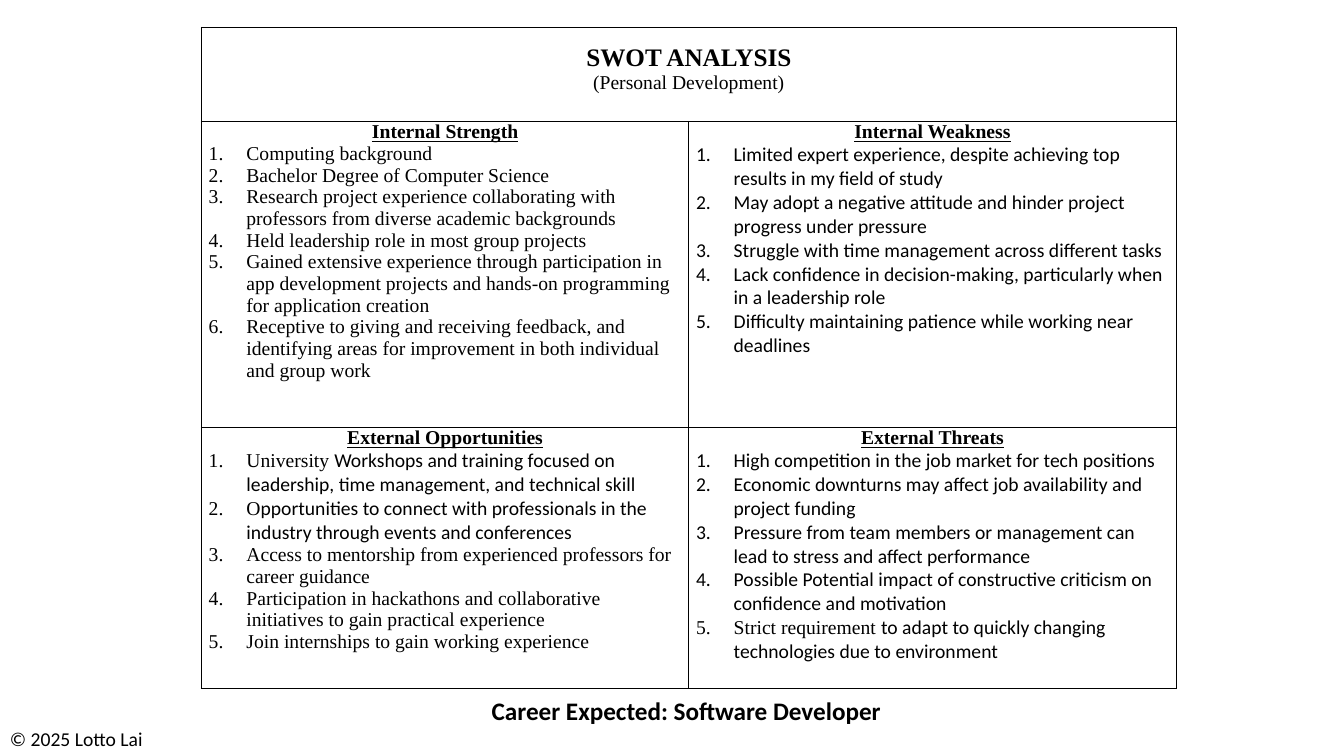
from pptx import Presentation
from pptx.dml.color import RGBColor
from pptx.enum.text import MSO_ANCHOR, MSO_AUTO_SIZE, PP_ALIGN
from pptx.oxml import parse_xml
from pptx.oxml.ns import nsdecls
from pptx.util import Cm, Pt

COLORS = {"ink": "000000", "paper": "FFFFFF"}
SERIF, SANS = "Times New Roman", "Calibri"

# Each item reads "serif part|sans part"
STRENGTH = ("Internal Strength", [
    "Computing background",
    "Bachelor Degree of Computer Science",
    "Research project experience collaborating with professors from diverse academic backgrounds",
    "Held leadership role in most group projects",
    "Gained extensive experience through participation in app development projects "
    "and hands-on programming for application creation",
    "Receptive to giving and receiving feedback, and identifying areas for improvement "
    "in both individual and group work",
])
WEAKNESS = ("Internal Weakness", [
    "|Limited expert experience, despite achieving top results in my field of study",
    "|May adopt a negative attitude and hinder project progress under pressure",
    "|Struggle with time management across different tasks",
    "|Lack confidence in decision-making, particularly when in a leadership role",
    "|Difficulty maintaining patience while working near deadlines",
])
CHANCES = ("External Opportunities", [
    "University |Workshops and training focused on leadership, time management, and technical skill",
    "O|pportunities to connect with professionals in the industry through events and conferences",
    "Access to mentorship from experienced professors for career guidance",
    "Participation in hackathons and collaborative initiatives to gain practical experience",
    "Join internships to gain working experience",
])
THREATS = ("External Threats", [
    "|High competition in the job market for tech positions",
    "|Economic downturns may affect job availability and project funding",
    "|Pressure from team members or management can lead to stress and affect performance",
    "|Possible Potential impact of constructive criticism on confidence and motivation",
    "Strict requirement |to adapt to quickly changing technologies due to environment",
])


def style(font, size, face=None, bold=False):
    font.size, font.bold = Pt(size), bold
    font.color.rgb = RGBColor.from_string(COLORS["ink"])
    if face:
        font.name = face


def head(par, text, size=14, bold=True, line=False):
    par.text = text
    par.alignment = PP_ALIGN.CENTER
    style(par.font, size, SERIF, bold)
    par.font.underline = line


def item(par, text):
    """Write one numbered entry with a hanging indent."""
    props = par._p.get_or_add_pPr()
    props.set("marL", str(Cm(0.95)))
    props.set("indent", str(-Cm(0.95)))
    props.append(parse_xml(f'<a:buFont {nsdecls("a")} typeface="+mj-lt"/>'))
    props.append(parse_xml(f'<a:buAutoNum {nsdecls("a")} type="arabicPeriod"/>'))
    style(par.font, 14)
    for part, face in zip(text.split("|"), (SERIF, SANS)):
        if part:
            run = par.add_run()
            run.text = part
            style(run.font, 14, face)


def frame(cell):
    """Plain fill, tight margins and a thin border on all sides."""
    cell.margin_left = cell.margin_right = Cm(0.18)
    cell.margin_top = cell.margin_bottom = 0
    cell.vertical_anchor = MSO_ANCHOR.TOP
    cell.fill.solid()
    cell.fill.fore_color.rgb = RGBColor.from_string(COLORS["paper"])
    props = cell._tc.get_or_add_tcPr()
    for spot, side in enumerate("LRTB"):
        props.insert(spot, parse_xml(
            f'<a:ln{side} {nsdecls("a")} w="{Pt(1)}"><a:solidFill>'
            f'<a:srgbClr val="{COLORS["ink"]}"/></a:solidFill></a:ln{side}>'))


def banner(cell):
    cell.margin_top = Cm(0.41)
    text = cell.text_frame
    head(text.paragraphs[0], "SWOT ANALYSIS", 18)
    head(text.add_paragraph(), "(Personal Development)", bold=False)


def panel(cell, title, items):
    text = cell.text_frame
    head(text.paragraphs[0], title, line=True)
    for entry in items:
        item(text.add_paragraph(), entry)


def matrix(slide, left, top, width, rows):
    table = slide.shapes.add_table(3, 2, left, top, width, sum(rows)).table
    for row, height in zip(table.rows, rows):
        row.height = height
    for cell in table.iter_cells():
        frame(cell)
    table.cell(0, 0).merge(table.cell(0, 1))
    banner(table.cell(0, 0))
    for spot, (title, items) in enumerate((STRENGTH, WEAKNESS, CHANCES, THREATS)):
        panel(table.cell(1 + spot // 2, spot % 2), title, items)


def label(slide, box, text, size, bold=False):
    frame = slide.shapes.add_textbox(*box).text_frame
    frame.word_wrap = False
    frame.auto_size = MSO_AUTO_SIZE.SHAPE_TO_FIT_TEXT
    par = frame.paragraphs[0]
    par.text = text
    style(par.font, size, SANS, bold)


def main():
    deck = Presentation()
    deck.slide_width, deck.slide_height = Cm(33.87), Cm(19.05)
    slide = deck.slides.add_slide(deck.slide_layouts[6])

    # Footer, table and career goal
    label(slide, (0, Cm(18.2), Cm(3.91), Cm(0.85)), "© 2025 Lotto Lai", 14)
    matrix(slide, Cm(5.08), Cm(0.69), Cm(24.56), [Cm(2.37), Cm(7.71), Cm(6.58)])
    label(slide, (Cm(12.14), Cm(17.4), Cm(10.41), Cm(1.03)),
          "Career Expected: Software Developer", 18, True)
    deck.save("out.pptx")


if __name__ == "__main__":
    main()
